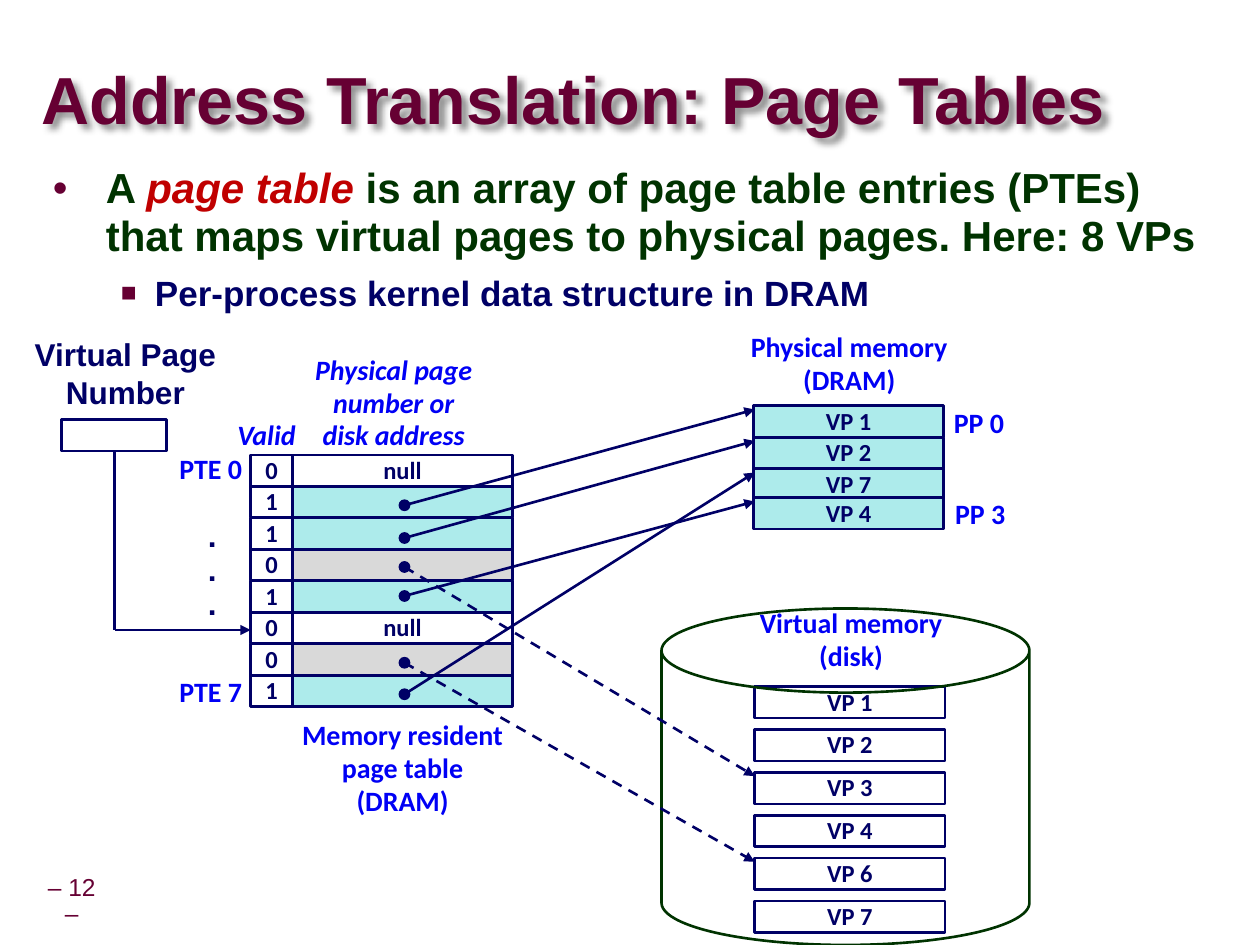
"""Build the slide that explains address translation with page tables."""
from dataclasses import dataclass
from typing import Optional

from lxml.etree import SubElement
from pptx import Presentation
from pptx.dml.color import RGBColor
from pptx.enum.dml import MSO_LINE_DASH_STYLE as Dash
from pptx.enum.shapes import MSO_CONNECTOR as Connector, MSO_SHAPE as Shape
from pptx.enum.text import MSO_ANCHOR as Anchor, MSO_AUTO_SIZE as AutoSize, PP_ALIGN as Align
from pptx.oxml.ns import qn
from pptx.util import Pt

EMU_PER_PX = 9144


@dataclass(frozen=True)
class Theme:
    maroon: str = "660033"
    green: str = "003300"
    navy: str = "000066"
    blue: str = "0000F5"
    red: str = "C00000"
    white: str = "FFFFFF"
    cached: str = "ADEBEB"
    on_disk: str = "D9D9D9"
    sans: str = "Arial"
    label: str = "Calibri"
    title_size: int = 38
    body_size: int = 24
    sub_size: int = 20
    heading_size: int = 18
    label_size: int = 16
    cell_size: int = 14
    stroke: float = 1.5


@dataclass(frozen=True)
class Box:
    left: int
    top: int
    width: int
    height: int

    def emu(self) -> list[int]:
        return [px(side) for side in (self.left, self.top, self.width, self.height)]


@dataclass(frozen=True)
class Label:
    text: str
    box: Box
    align: Align = Align.CENTER
    anchor: Anchor = Anchor.TOP
    italic: bool = False


@dataclass(frozen=True)
class Entry:
    valid: int
    dot_top: Optional[int] = None
    target_top: Optional[int] = None


THEME = Theme()
CELL_HEIGHT = 25
TABLE_TOP = 361
PAGE_WIDTH = 151
DISK_TOP, DISK_STEP = 545, 34
DOT = 8
DRAM_PAGES = {"VP 1": 322, "VP 2": 347, "VP 7": 372, "VP 4": 395}
DISK_PAGES = {f"VP {number}": DISK_TOP + row * DISK_STEP
              for row, number in enumerate((1, 2, 3, 4, 6, 7))}
ENTRIES = [
    Entry(0),
    Entry(1, 397, DRAM_PAGES["VP 1"]),
    Entry(1, 423, DRAM_PAGES["VP 2"]),
    Entry(0, 446, DISK_PAGES["VP 3"]),
    Entry(1, 469, DRAM_PAGES["VP 4"]),
    Entry(0),
    Entry(0, 522, DISK_PAGES["VP 6"]),
    Entry(1, 547, DRAM_PAGES["VP 7"]),
]
LABELS = [
    Label("Memory resident\npage table\n(DRAM)", Box(227, 566, 185, 89)),
    Label("Physical memory\n(DRAM)", Box(585, 258, 178, 63)),
    Label("Virtual memory\n(disk)", Box(591, 477, 169, 63)),
    Label("Valid", Box(174, 328, 75, 37), italic=True),
    Label("Physical page\nnumber or\ndisk address", Box(239, 275, 147, 90),
          anchor=Anchor.MIDDLE, italic=True),
    Label("PTE 0", Box(132, 354, 70, 37), Align.RIGHT, Anchor.MIDDLE),
    Label("PTE 7", Box(132, 531, 70, 37), Align.RIGHT, Anchor.MIDDLE),
    Label("PP 0", Box(747, 318, 60, 37), anchor=Anchor.MIDDLE),
    Label("PP 3", Box(748, 390, 60, 37), anchor=Anchor.MIDDLE),
]


def px(length: int) -> int:
    return length * EMU_PER_PX


def rgb(color: str) -> RGBColor:
    return RGBColor.from_string(color)


def write(frame, text: str, *, size: int, color: str, font: str = THEME.label,
          bold: bool = True, italic: bool = False, align: Align = Align.CENTER,
          anchor: Anchor = Anchor.MIDDLE, spacing: float = 0.98) -> None:
    frame.word_wrap = False
    frame.vertical_anchor = anchor
    for index, line in enumerate(text.split("\n")):
        para = frame.add_paragraph() if index else frame.paragraphs[0]
        para.alignment, para.line_spacing = align, spacing
        write_span(para, line, size=size, color=color, font=font, bold=bold, italic=italic)


def write_span(para, text: str, *, size: int, color: str, font: str = THEME.sans,
               bold: bool = True, italic: bool = False) -> None:
    span = para.add_run()
    span.text = text
    span.font.name, span.font.size = font, Pt(size)
    span.font.bold, span.font.italic = bold, italic
    span.font.color.rgb = rgb(color)


def add_text(page, box: Box, text: str, **style) -> None:
    write(page.shapes.add_textbox(*box.emu()).text_frame, text, **style)


def add_shape(page, kind: Shape, box: Box, fill: Optional[str] = None,
              line: str = THEME.navy, width: float = THEME.stroke):
    shape = page.shapes.add_shape(kind, *box.emu())
    shape.shadow.inherit = False
    if fill:
        shape.fill.solid()
        shape.fill.fore_color.rgb = rgb(fill)
    else:
        shape.fill.background()
    shape.line.color.rgb, shape.line.width = rgb(line), Pt(width)
    return shape


def add_cell(page, box: Box, text: str = "", fill: Optional[str] = None) -> None:
    cell = add_shape(page, Shape.RECTANGLE, box, fill)
    if text:
        write(cell.text_frame, text, size=THEME.cell_size, color=THEME.navy)


def add_line(page, start: tuple[int, int], end: tuple[int, int],
             arrow: bool = True, dashed: bool = False) -> None:
    line = page.shapes.add_connector(Connector.STRAIGHT, *map(px, start + end))
    line.line.color.rgb, line.line.width = rgb(THEME.navy), Pt(THEME.stroke)
    if dashed:
        line.line.dash_style = Dash.DASH
    if arrow:
        SubElement(line.line._get_or_add_ln(), qn("a:tailEnd"), type="triangle")
    SubElement(line._element.spPr, qn("a:effectLst"))


def place(holder, box: Box):
    holder.left, holder.top, holder.width, holder.height = box.emu()
    holder.text_frame.auto_size = AutoSize.NONE
    return holder.text_frame


def add_bullet(para, char: str, margin: int, hanging: int, percent: int) -> None:
    props = para._p.get_or_add_pPr()
    props.set("marL", str(px(margin)))
    props.set("indent", str(-px(hanging)))
    SubElement(SubElement(props, qn("a:buClr")), qn("a:srgbClr"), val=THEME.maroon)
    SubElement(props, qn("a:buSzPct"), val=str(percent * 1000))
    SubElement(props, qn("a:buFont"), typeface=THEME.sans)
    SubElement(props, qn("a:buChar"), char=char)


def add_title(page) -> None:
    title = page.shapes.title
    frame = place(title, Box(33, 39, 906, 86))
    frame.margin_left = frame.margin_top = frame.margin_right = frame.margin_bottom = 0
    write(frame, "Address Translation: Page Tables", size=THEME.title_size, color=THEME.maroon,
          font=THEME.sans, align=Align.LEFT, spacing=0.87)
    effects = SubElement(title._element.spPr, qn("a:effectLst"))
    shadow = SubElement(effects, qn("a:outerShdw"), blurRad=str(px(5)), dist=str(px(5)),
                        dir="2700000", algn="tl", rotWithShape="0")
    tint = SubElement(shadow, qn("a:srgbClr"), val="000000")
    SubElement(tint, qn("a:alpha"), val="43000")


def add_body(page) -> None:
    frame = place(page.placeholders[1], Box(32, 126, 943, 141))
    frame.word_wrap = True
    first, second = frame.paragraphs[0], frame.add_paragraph()
    add_bullet(first, "•", 42, 42, 100)
    first.line_spacing, first.space_before = 0.95, Pt(0)
    for text, color, italic in (
            ("A ", THEME.green, False), ("page table ", THEME.red, True),
            ("is an array of page table entries (PTEs) that maps virtual pages "
             "to physical pages. Here: 8 VPs", THEME.green, False)):
        write_span(first, text, size=THEME.body_size, color=color, italic=italic)
    second.level = 1
    add_bullet(second, "■", 81, 27, 75)
    second.space_before = Pt(6)
    write_span(second, "Per-process kernel data structure in DRAM",
               size=THEME.sub_size, color=THEME.navy)


def add_page_table(page) -> None:
    for row, entry in enumerate(ENTRIES):
        top = TABLE_TOP + row * CELL_HEIGHT
        empty = entry.dot_top is None
        fill = THEME.white if empty else THEME.cached if entry.valid else THEME.on_disk
        add_cell(page, Box(232, top, 175, CELL_HEIGHT), "null" if empty else "", fill)
        add_cell(page, Box(199, top, 33, CELL_HEIGHT), str(entry.valid))


def add_links(page) -> None:
    for entry in ENTRIES:
        if entry.dot_top is not None:
            dot = Box(317, entry.dot_top, DOT, DOT)
            center = (dot.left + DOT // 2, dot.top + DOT // 2)
            add_line(page, center, (599, entry.target_top + 3), dashed=not entry.valid)
            add_shape(page, Shape.OVAL, dot, THEME.navy, width=1)


def main() -> None:
    deck = Presentation()
    deck.slide_width, deck.slide_height = px(1000), px(750)
    page = deck.slides.add_slide(deck.slide_layouts[1])
    add_title(page)
    add_body(page)
    add_text(page, Box(24, 700, 66, 31), "– 12 –", size=THEME.cell_size, color=THEME.maroon,
             font=THEME.sans, bold=False, spacing=0.9)
    add_page_table(page)
    for left, pages, fill in ((598, DRAM_PAGES, THEME.cached), (599, DISK_PAGES, THEME.white)):
        for name, top in pages.items():
            add_cell(page, Box(left, top, PAGE_WIDTH, CELL_HEIGHT), name, fill)
    add_shape(page, Shape.CAN, Box(525, 483, 292, 267), line=THEME.green)
    add_links(page)
    for label in LABELS:
        add_text(page, label.box, label.text, size=THEME.label_size, color=THEME.blue,
                 align=label.align, anchor=label.anchor, italic=label.italic)
    for text, box, spacing in ((".\n.\n.", Box(155, 408, 27, 92), 0.9),
                               ("Virtual Page\nNumber", Box(17, 261, 165, 70), 1.0)):
        add_text(page, box, text, size=THEME.heading_size, color=THEME.navy,
                 font=THEME.sans, anchor=Anchor.TOP, spacing=spacing)
    add_cell(page, Box(49, 333, 83, CELL_HEIGHT), fill=THEME.white)
    add_line(page, (91, 358), (91, 500), arrow=False)
    add_line(page, (91, 500), (199, 500))
    deck.save("out.pptx")


if __name__ == "__main__":
    main()
